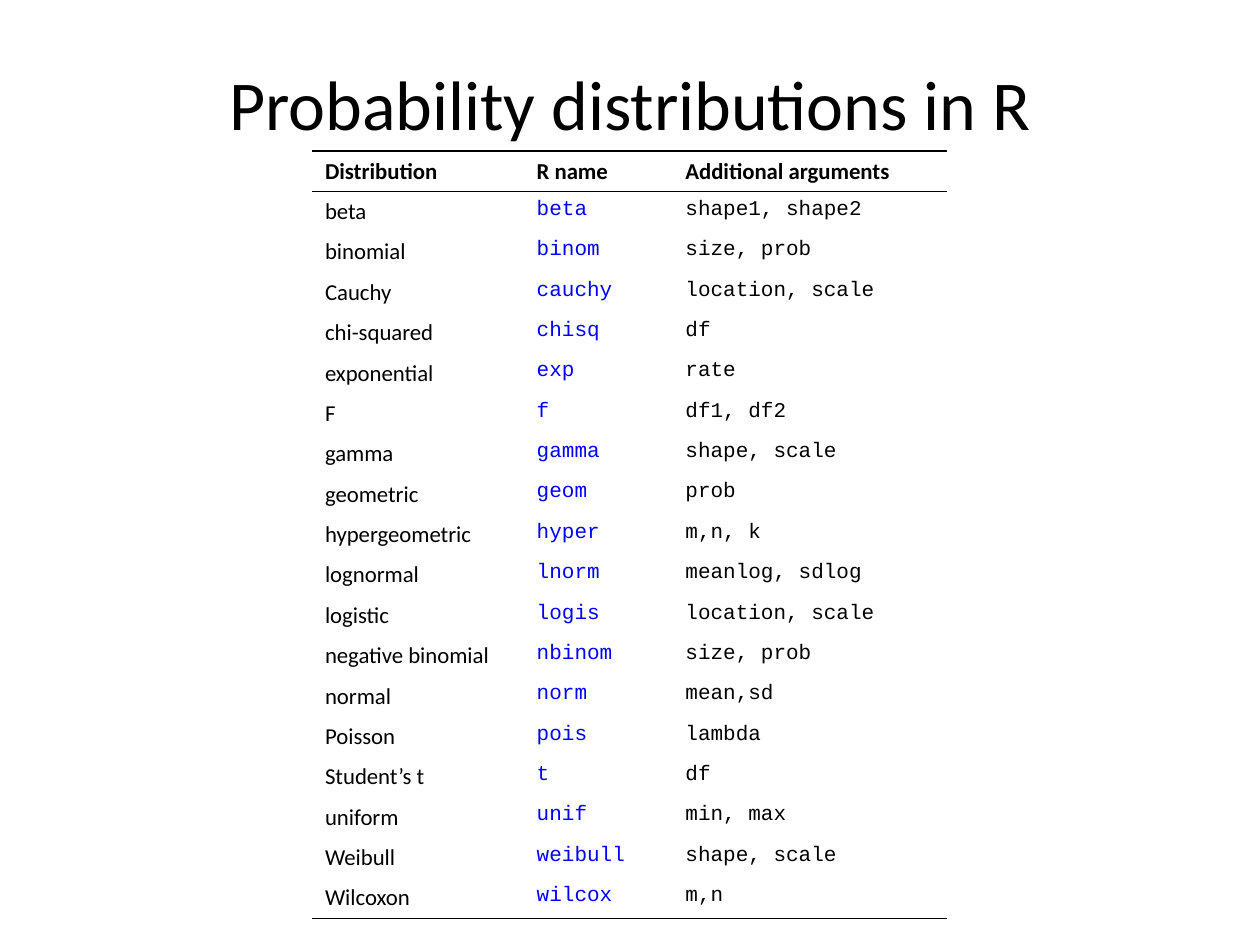
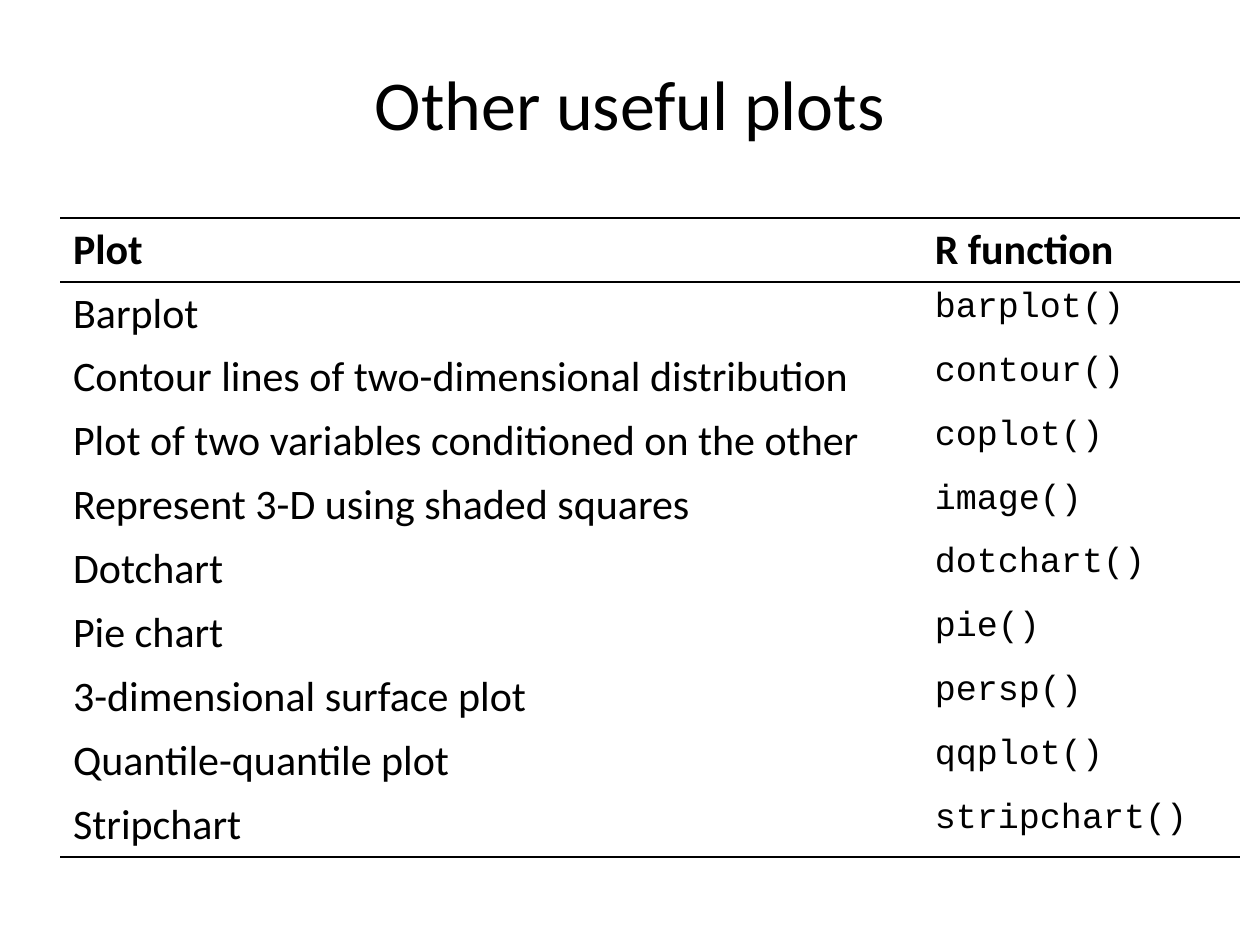
from dataclasses import dataclass

from lxml.etree import SubElement
from pptx import Presentation
from pptx.dml.color import RGBColor
from pptx.enum.text import MSO_ANCHOR, PP_ALIGN
from pptx.oxml import parse_xml
from pptx.oxml.ns import nsdecls, qn
from pptx.util import Inches, Pt


@dataclass(frozen=True)
class Theme:
    """Colours, fonts and type sizes of the deck."""
    ink: str = "000000"
    name_blue: str = "0000FF"
    text_font: str = "Calibri"
    code_font: str = "Courier New"
    title_size: int = 40
    rule_width: int = 1
    plain_table_style: str = "{2D5ABB26-0587-4C30-8999-92F81FD0307C}"


theme = Theme()

distributions = [
    ("Distribution", "R name", "Additional arguments"),
    ("beta", "beta", "shape1, shape2"),
    ("binomial", "binom", "size, prob"),
    ("Cauchy", "cauchy", "location, scale"),
    ("chi-squared", "chisq", "df"),
    ("exponential", "exp", "rate"),
    ("F", "f", "df1, df2"),
    ("gamma", "gamma", "shape, scale"),
    ("geometric", "geom", "prob"),
    ("hypergeometric", "hyper", "m,n, k"),
    ("lognormal", "lnorm", "meanlog, sdlog"),
    ("logistic", "logis", "location, scale"),
    ("negative binomial", "nbinom", "size, prob"),
    ("normal", "norm", "mean,sd"),
    ("Poisson", "pois", "lambda"),
    ("Student’s t", "t", "df"),
    ("uniform", "unif", "min, max"),
    ("Weibull", "weibull", "shape, scale"),
    ("Wilcoxon", "wilcox", "m,n"),
]

plots = [
    ("Plot", "R function"),
    ("Barplot", "barplot()"),
    ("Contour lines of two-dimensional distribution", "contour()"),
    ("Plot of two variables conditioned on the other", "coplot()"),
    ("Represent 3-D using shaded squares", "image()"),
    ("Dotchart", "dotchart()"),
    ("Pie chart", "pie()"),
    ("3-dimensional surface plot", "persp()"),
    ("Quantile-quantile plot", "qqplot()"),
    ("Stripchart", "stripchart()"),
]

# Column colours follow the columns; every column after the first holds code.
slides = [
    dict(title="Probability distributions in R", rows=distributions,
         left=2.48, top=1.2, widths=(1.68, 1.18, 2.18), row_height=0.32,
         text_size=13, code_size=12,
         colors=(theme.ink, theme.name_blue, theme.ink)),
    dict(title="Other useful plots", rows=plots,
         left=0.48, top=1.73, widths=(6.84, 2.52), row_height=0.5,
         text_size=24, code_size=20, colors=(theme.ink, theme.ink)),
]


def add_span(para, text, font, size, color, bold=False):
    """Add one formatted run to a paragraph."""
    span = para.add_run()
    span.text = text
    span.font.name = font
    span.font.size = Pt(size)
    span.font.bold = bold
    span.font.color.rgb = RGBColor.from_string(color)


def set_edge(cell, side, ruled):
    """Rule or clear the top (lnT) or bottom (lnB) edge of a cell."""
    paint = (f'<a:solidFill><a:srgbClr val="{theme.ink}"/></a:solidFill>'
             if ruled else '<a:noFill/>')
    cell._tc.get_or_add_tcPr().append(parse_xml(
        f'<a:{side} {nsdecls("a")} w="{Pt(theme.rule_width)}">{paint}</a:{side}>'))


deck = Presentation()
deck.slide_width, deck.slide_height = Inches(10), Inches(7.5)
title_only = deck.slide_layouts[5]

for content in slides:
    page = deck.slides.add_slide(title_only)

    title = page.shapes.title
    title.left, title.top = Inches(0.5), Inches(0.3)
    title.width, title.height = Inches(9), Inches(1.03)
    title.text_frame.vertical_anchor = MSO_ANCHOR.MIDDLE
    para = title.text_frame.paragraphs[0]
    para.alignment = PP_ALIGN.CENTER
    add_span(para, content["title"], theme.text_font, theme.title_size, theme.ink)

    rows, widths = content["rows"], content["widths"]
    table = page.shapes.add_table(
        len(rows), len(widths), Inches(content["left"]), Inches(content["top"]),
        Inches(sum(widths)), Inches(content["row_height"] * len(rows))).table
    table.horz_banding = False
    properties = table._tbl.tblPr
    style = properties.find(qn("a:tableStyleId"))
    if style is None:
        style = SubElement(properties, qn("a:tableStyleId"))
    style.text = theme.plain_table_style

    for column, width in zip(table.columns, widths):
        column.width = Inches(width)

    # Rules lie above and below the header and below the last row.
    ruled_edges = {0, 1, len(rows)}
    for row_index, row in enumerate(rows):
        table.rows[row_index].height = Inches(content["row_height"])
        is_header = row_index == 0
        for column_index, text in enumerate(row):
            cell = table.cell(row_index, column_index)
            para = cell.text_frame.paragraphs[0]
            if is_header or column_index == 0:
                add_span(para, text, theme.text_font, content["text_size"],
                         theme.ink, bold=is_header)
            else:
                add_span(para, text, theme.code_font, content["code_size"],
                         content["colors"][column_index])
            set_edge(cell, "lnT", row_index in ruled_edges)
            set_edge(cell, "lnB", row_index + 1 in ruled_edges)
            cell.fill.background()

deck.save("out.pptx")
